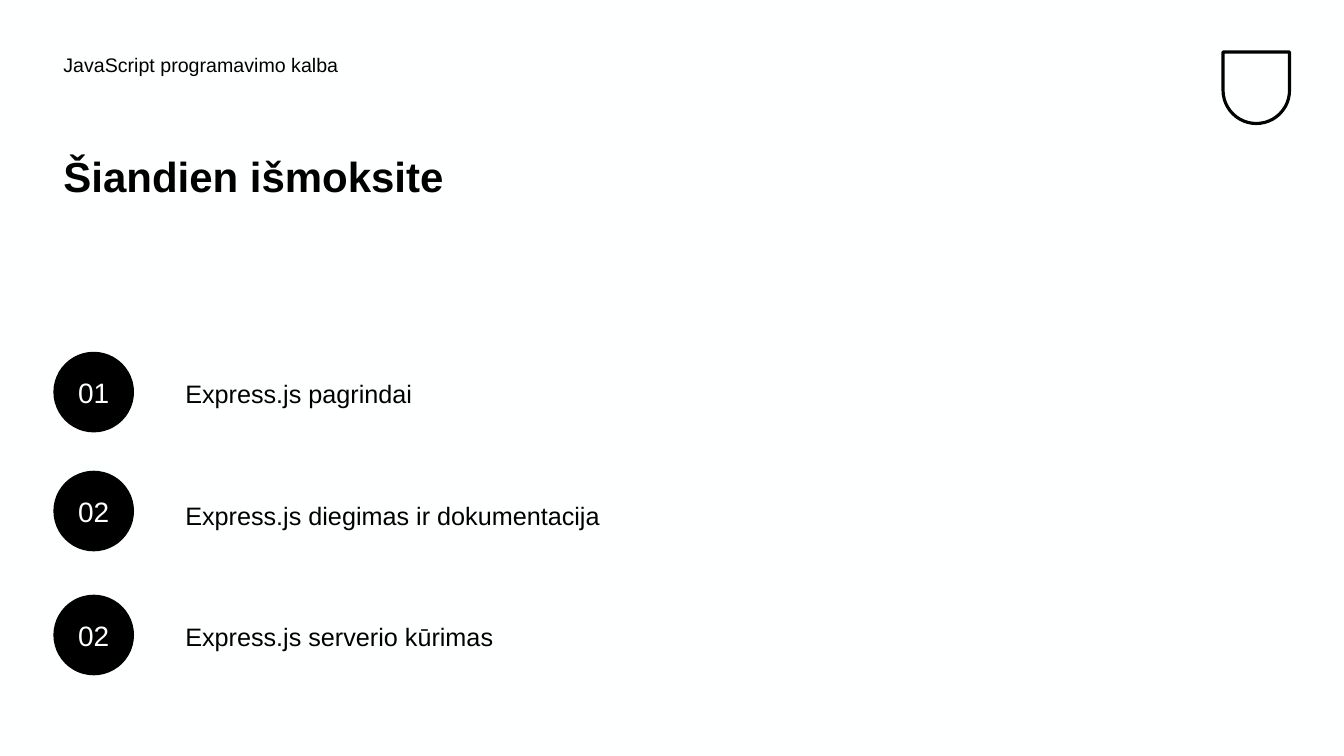
from dataclasses import dataclass

from pptx import Presentation
from pptx.dml.color import RGBColor
from pptx.enum.shapes import MSO_SHAPE
from pptx.enum.text import MSO_ANCHOR, MSO_AUTO_SIZE, PP_ALIGN
from pptx.util import Inches, Pt

OVAL, SHIELD = MSO_SHAPE.OVAL, MSO_SHAPE.ROUND_2_SAME_RECTANGLE
TOP, MIDDLE = MSO_ANCHOR.TOP, MSO_ANCHOR.MIDDLE
LEFT, CENTER = PP_ALIGN.LEFT, PP_ALIGN.CENTER
NO_FIT = MSO_AUTO_SIZE.NONE

# Slide grid
WIDTH, HEIGHT = Inches(13.333), Inches(7.5)
COLS, ROWS = 40, 30
MARGIN_COL, TOPIC_COL = 1.59, 5.22


@dataclass(frozen=True)
class Theme:
    font: str = "Arial"
    ink: RGBColor = RGBColor(0x00, 0x00, 0x00)
    paper: RGBColor = RGBColor(0xFE, 0xFF, 0xFF)
    header: int = 14
    title: int = 30
    topic: int = 18
    number: int = 20


THEME = Theme()

# Number, topic, circle row, topic row
TOPICS = [
    ("01", "Express.js pagrindai", 13.96, 14.8),
    ("02", "Express.js diegimas ir dokumentacija", 18.68, 19.64),
    ("02", "Express.js serverio kūrimas", 23.6, 24.44),
]


def cells(col, row, cols, rows):
    """Turn grid cells into left, top, width and height."""
    return [int(n) for n in (col * WIDTH / COLS, row * HEIGHT / ROWS,
                             cols * WIDTH / COLS, rows * HEIGHT / ROWS)]


def apply(obj, formats):
    for name, value in formats.items():
        setattr(obj, name, value)


def write(sp, text, size, color=THEME.ink, bold=False,
          align=LEFT, anchor=TOP, spacing=1.0):
    tf = sp.text_frame
    apply(tf, {"word_wrap": True, "auto_size": NO_FIT,
               "vertical_anchor": anchor})
    p = tf.paragraphs[0]
    apply(p, {"alignment": align, "line_spacing": spacing})
    r = p.add_run()
    r.text = text
    apply(r.font, {"name": THEME.font, "size": Pt(size), "bold": bold})
    r.font.color.rgb = color


def add_title(s, text, box):
    sp = s.shapes.title
    apply(sp, dict(zip(("left", "top", "width", "height"), box)))
    write(sp, text, THEME.title, bold=True, spacing=0.9)


def add_text(s, text, box, size, spacing=1.0):
    write(s.shapes.add_textbox(*box), text, size, spacing=spacing)


def add_number(s, text, box):
    sp = s.shapes.add_shape(OVAL, *box)
    sp.shadow.inherit = False
    sp.fill.solid()
    sp.fill.fore_color.rgb = THEME.ink
    sp.line.fill.background()
    write(sp, text, THEME.number, THEME.paper, align=CENTER, anchor=MIDDLE)


def add_shield(s, box):
    sp = s.shapes.add_shape(SHIELD, *box)
    sp.shadow.inherit = False
    sp.rotation = 180
    sp.adjustments[0] = 0.5
    sp.fill.background()
    sp.line.color.rgb = THEME.ink
    sp.line.width = Pt(2.25)


def main():
    prs = Presentation()
    apply(prs, {"slide_width": WIDTH, "slide_height": HEIGHT})
    s = prs.slides.add_slide(prs.slide_layouts[5])
    s.background.fill.solid()
    s.background.fill.fore_color.rgb = THEME.paper

    # Header and title
    add_shield(s, cells(36.4, 2.06, 1.98, 2.84))
    add_text(s, "JavaScript programavimo kalba",
             cells(MARGIN_COL, 2, 22.26, 2), THEME.header, spacing=0.9)
    add_title(s, "Šiandien išmoksite", cells(MARGIN_COL, 6, 16.92, 5.96))

    # Numbered topics
    for number, topic, circle_row, topic_row in TOPICS:
        add_number(s, number, cells(MARGIN_COL, circle_row, 2.4, 3.2))
        add_text(s, topic, cells(TOPIC_COL, topic_row, 13.89, 1.8),
                 THEME.topic)

    prs.save("out.pptx")


if __name__ == "__main__":
    main()
